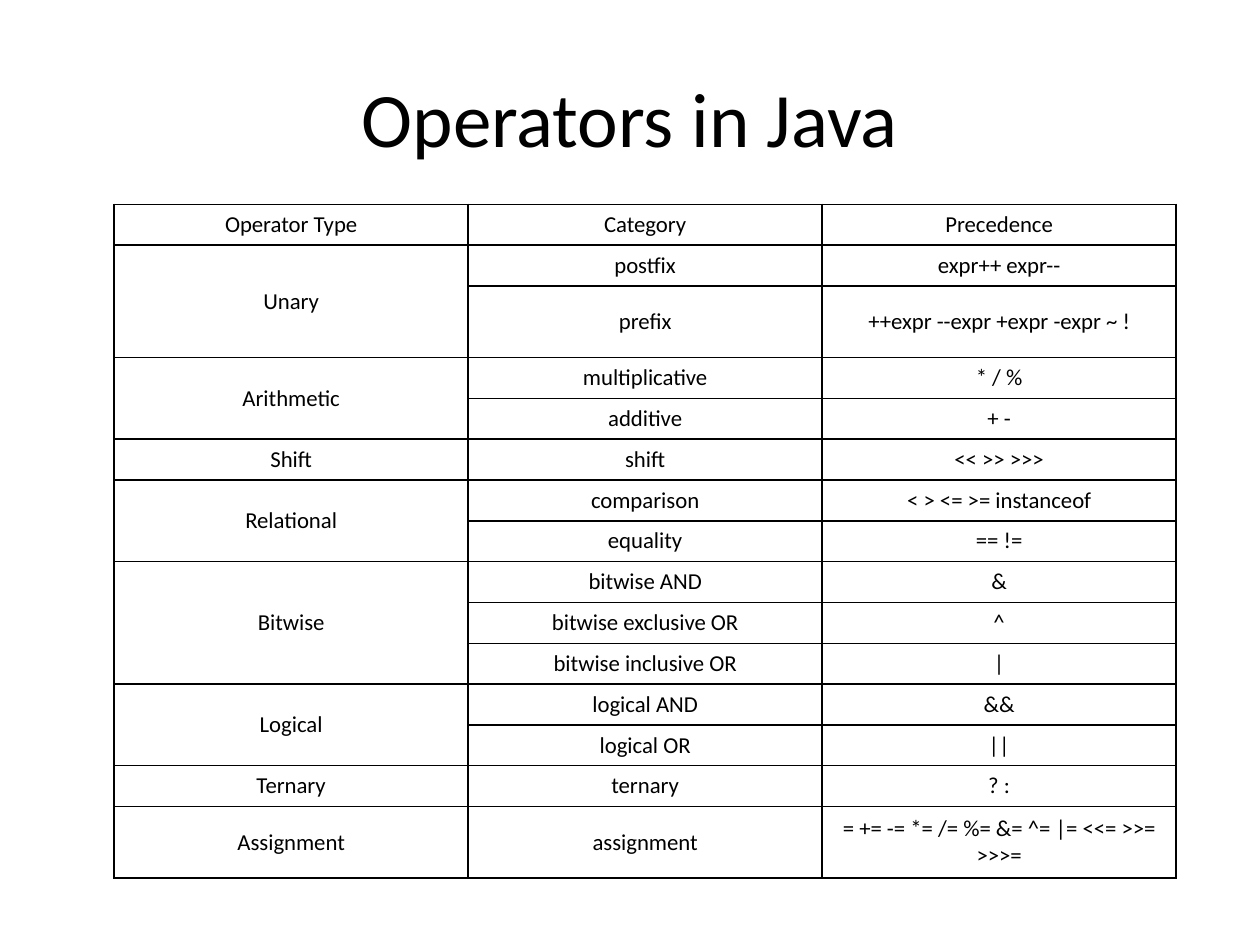
from lxml import etree
from pptx import Presentation
from pptx.dml.color import RGBColor
from pptx.enum.text import MSO_ANCHOR, PP_ALIGN
from pptx.oxml.ns import qn
from pptx.util import Cm, Pt

CENTER = PP_ALIGN.CENTER
MIDDLE = MSO_ANCHOR.MIDDLE
FONT = "Calibri"
COLORS = {"background": "FFFFFF", "text": "000000", "border": "000000"}

TABLE_WIDTH = 21.41
TABLE_HEIGHT = 13.59
TALL_ROW_HEIGHT = 1.44
TALL_CATEGORIES = {"prefix", "assignment"}

HEADINGS = ("Operator Type", "Category", "Precedence")
OPERATORS = {
    "Unary": [("postfix", "expr++ expr--"), ("prefix", "++expr --expr +expr -expr ~ !")],
    "Arithmetic": [("multiplicative", "* / %"), ("additive", "+ -")],
    "Shift": [("shift", "<< >> >>>")],
    "Relational": [("comparison", "< > <= >= instanceof"), ("equality", "== !=")],
    "Bitwise": [
        ("bitwise AND", "&"),
        ("bitwise exclusive OR", "^"),
        ("bitwise inclusive OR", "|"),
    ],
    "Logical": [("logical AND", "&&"), ("logical OR", "||")],
    "Ternary": [("ternary", "? :")],
    "Assignment": [("assignment", "= += -= *= /= %= &= ^= |= <<= >>= >>>=")],
}


def write_text(text_frame, text, size):
    paragraph = text_frame.paragraphs[0]
    paragraph.alignment = CENTER
    run = paragraph.add_run()
    run.text = text
    run.font.name = FONT
    run.font.size = Pt(size)
    run.font.color.rgb = RGBColor.from_string(COLORS["text"])


def add_title(slide, text):
    title = slide.shapes.title
    title.left, title.top, title.width, title.height = Cm(1.27), Cm(0.76), Cm(22.86), Cm(3.18)
    title.text_frame.vertical_anchor = MIDDLE
    write_text(title.text_frame, text, 44)


def add_borders(cell):
    properties = cell._tc.get_or_add_tcPr()
    for side in ("lnL", "lnR", "lnT", "lnB"):
        line = etree.SubElement(properties, qn(f"a:{side}"), w=str(Pt(1)))
        fill = etree.SubElement(line, qn("a:solidFill"))
        etree.SubElement(fill, qn("a:srgbClr"), val=COLORS["border"])


def format_cell(cell):
    cell.vertical_anchor = MIDDLE
    cell.margin_left = cell.margin_right = Cm(0.18)
    cell.margin_top = cell.margin_bottom = Cm(0.1)
    add_borders(cell)
    cell.fill.background()


def add_operator_table(slide):
    categories = [HEADINGS[1]] + [name for group in OPERATORS.values() for name, _ in group]
    row_count = len(categories)
    tall_count = len(TALL_CATEGORIES)
    row_height = (TABLE_HEIGHT - tall_count * TALL_ROW_HEIGHT) / (row_count - tall_count)
    frame = slide.shapes.add_table(
        row_count, len(HEADINGS), Cm(2.3), Cm(4.12), Cm(TABLE_WIDTH), Cm(TABLE_HEIGHT)
    )
    table = frame.table
    table.first_row = False
    table.horz_banding = False

    for row, category in zip(table.rows, categories):
        row.height = Cm(TALL_ROW_HEIGHT if category in TALL_CATEGORIES else row_height)
    for cell in table.iter_cells():
        format_cell(cell)

    for column, heading in enumerate(HEADINGS):
        write_text(table.cell(0, column).text_frame, heading, 13)

    row = 1
    for operator_type, group in OPERATORS.items():
        type_cell = table.cell(row, 0)
        if len(group) > 1:
            type_cell.merge(table.cell(row + len(group) - 1, 0))
        write_text(type_cell.text_frame, operator_type, 13)
        for entry in group:
            for column, text in enumerate(entry, start=1):
                write_text(table.cell(row, column).text_frame, text, 13)
            row += 1


def main():
    presentation = Presentation()
    presentation.slide_width = Cm(25.4)
    presentation.slide_height = Cm(19.05)
    slide = presentation.slides.add_slide(presentation.slide_layouts[5])
    slide.background.fill.solid()
    slide.background.fill.fore_color.rgb = RGBColor.from_string(COLORS["background"])
    add_title(slide, "Operators in Java")
    add_operator_table(slide)
    presentation.save("out.pptx")


if __name__ == "__main__":
    main()
